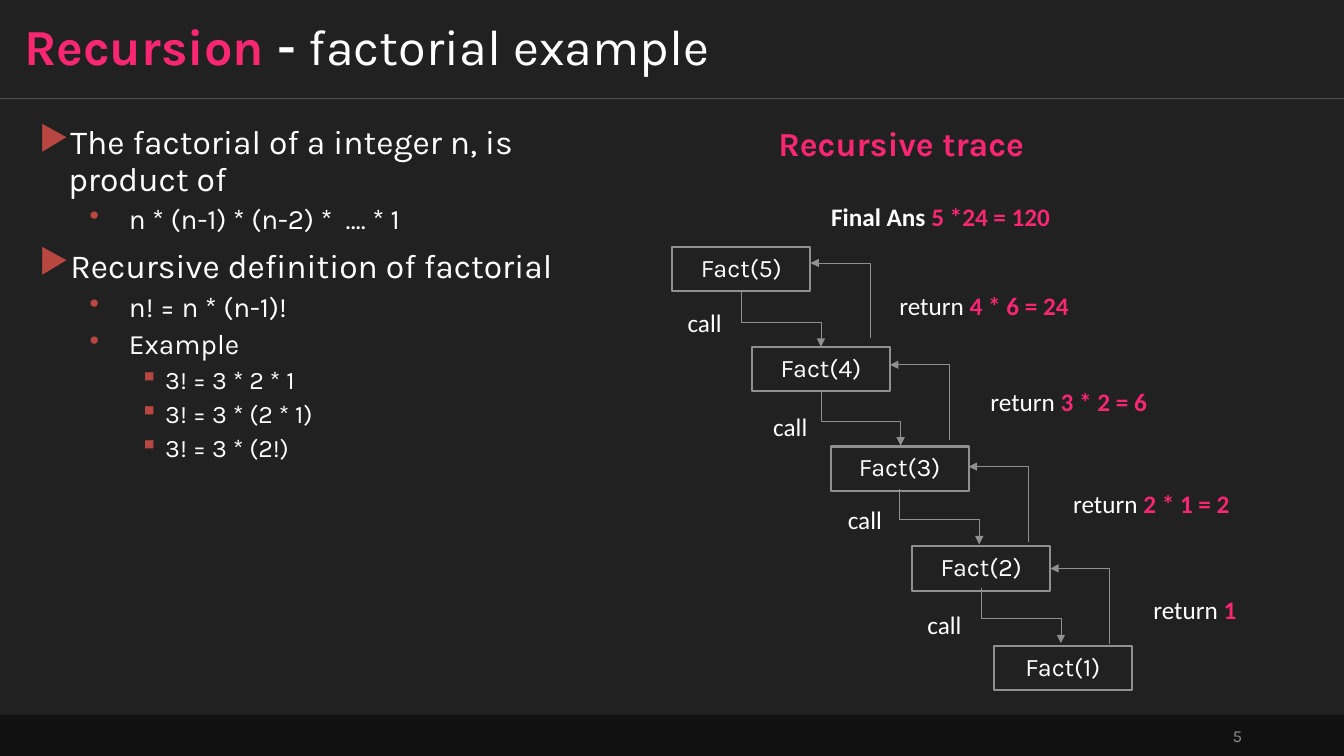
from dataclasses import dataclass

from pptx import Presentation
from pptx.dml.color import RGBColor
from pptx.enum.shapes import MSO_CONNECTOR, MSO_SHAPE
from pptx.enum.text import MSO_ANCHOR, PP_ALIGN
from pptx.oxml.ns import qn
from pptx.util import Emu, Inches, Pt
from lxml import etree

RECT = MSO_SHAPE.RECTANGLE
STRAIGHT, ELBOW = MSO_CONNECTOR.STRAIGHT, MSO_CONNECTOR.ELBOW
TOP, MIDDLE = MSO_ANCHOR.TOP, MSO_ANCHOR.MIDDLE
LEFT, CENTER, RIGHT = PP_ALIGN.LEFT, PP_ALIGN.CENTER, PP_ALIGN.RIGHT

# Grid of 160 columns by 90 rows over the whole slide
COLUMNS, ROWS = 160, 90
WIDTH, HEIGHT = Inches(13.33), Inches(7.5)

DARK, FOOTER, GREY, PAGE_GREY = "212121", "111111", "909090", "8D8D8D"
WHITE, PINK, BULLET_RED = "FFFFFF", "F92672", "B84742"
KARLA, CALIBRI = "Karla", "Calibri"


@dataclass
class Area:
    col: float
    row: float
    cols: float
    rows: float


@dataclass
class Words:
    text: str
    size: float = 18
    font: str = CALIBRI
    color: str = WHITE
    bold: bool = False


@dataclass
class Level:
    symbol: str
    size: float
    margin: float
    hanging: float
    before: float


@dataclass
class Step:
    """A recursive call, its place and the value it passes back."""
    call: str
    col: float
    call_at: tuple[float, float] = ()
    return_area: Area | None = None
    value: str = ""


LEVELS = [
    Level("▶", 24, 0.29, 0.29, 10),
    Level("•", 20, 0.89, 0.39, 5),
    Level("▪", 18, 1.25, 0.25, 5),
]
OUTLINE = [
    (0, "The factorial of a integer n, is product of"),
    (1, "n * (n-1) * (n-2) *  …. * 1"),
    (0, "Recursive definition of factorial"),
    (1, "n! = n * (n-1)!"),
    (1, "Example"),
    (2, "3! = 3 * 2 * 1"),
    (2, "3! = 3 * (2 * 1)"),
    (2, "3! = 3 * (2!)"),
]
STEPS = [
    Step("Fact(5)", 80.04, (80.04, 36), Area(105.12, 33.96, 24.72, 4.8), "4 * 6 = 24 "),
    Step("Fact(4)", 89.52, (90.24, 48.36), Area(115.2, 45.36, 24.72, 4.8), "3 * 2 = 6 "),
    Step("Fact(3)", 98.88, (99.12, 59.4), Area(125.04, 57.6, 24.72, 4.8), "2 * 1 = 2 "),
    Step("Fact(2)", 108.6, (108.6, 72), Area(134.76, 70.2, 15, 4.8), "1"),
    Step("Fact(1)", 118.32),
]
BOX_COLS, BOX_ROWS = 16.44, 5.28


def x(cols: float) -> Emu:
    return Emu(round(WIDTH * cols / COLUMNS))


def y(rows: float) -> Emu:
    return Emu(round(HEIGHT * rows / ROWS))


def place(area: Area) -> tuple[Emu, Emu, Emu, Emu]:
    return x(area.col), y(area.row), x(area.cols), y(area.rows)


def paint(color_format, color: str) -> None:
    color_format.rgb = RGBColor.from_string(color)


def add_words(paragraph, words: Words) -> None:
    run = paragraph.add_run()
    run.text = words.text
    run.font.size, run.font.name, run.font.bold = Pt(words.size), words.font, words.bold
    paint(run.font.color, words.color)


def write(frame, words: list[Words], align=CENTER, anchor=TOP, spacing: float = 1,
          inset: tuple[float, float] = (0.1, 0.05)) -> None:
    frame.word_wrap, frame.vertical_anchor = True, anchor
    frame.margin_left = frame.margin_right = Inches(inset[0])
    frame.margin_top = frame.margin_bottom = Inches(inset[1])
    paragraph = frame.paragraphs[0]
    paragraph.alignment, paragraph.line_spacing = align, spacing
    for part in words:
        add_words(paragraph, part)


def add_text(slide, area: Area, words: list[Words], **layout) -> None:
    write(slide.shapes.add_textbox(*place(area)).text_frame, words, **layout)


def add_box(slide, area: Area, fill: str, line: str = ""):
    box = slide.shapes.add_shape(RECT, *place(area))
    box.shadow.inherit = False
    box.fill.solid()
    paint(box.fill.fore_color, fill)
    if line:
        paint(box.line.color, line)
        box.line.width = Pt(1.5)
    else:
        box.line.fill.background()
    return box


def add_line(slide, kind, start: tuple[float, float], end: tuple[float, float], color: str):
    line = slide.shapes.add_connector(kind, x(start[0]), y(start[1]), x(end[0]), y(end[1]))
    paint(line.line.color, color)
    line.line.width = Pt(0.5)
    etree.SubElement(line._element.spPr, qn("a:effectLst"))
    return line


def add_arrow(slide, start: tuple[float, float], end: tuple[float, float],
              flip: str, bend: int) -> None:
    """Elbow arrow that leaves vertically; bend is in thousandths of a percent."""
    arrow = add_line(slide, ELBOW, start, end, GREY)
    wide, tall = arrow.width, arrow.height
    arrow.left += (wide - tall) // 2
    arrow.top += (tall - wide) // 2
    arrow.width, arrow.height = tall, wide
    properties = arrow._element.spPr
    frame = properties.find(qn("a:xfrm"))
    frame.attrib.pop("flipH", None)
    frame.attrib.pop("flipV", None)
    frame.set("rot", "16200000")
    frame.set(flip, "1")
    adjustments = properties.find(qn("a:prstGeom")).find(qn("a:avLst"))
    etree.SubElement(adjustments, qn("a:gd"), name="adj1", fmla=f"val {bend}")
    etree.SubElement(properties.find(qn("a:ln")), qn("a:tailEnd"), type="triangle")


def add_outline(slide, area: Area) -> None:
    frame = slide.shapes.add_textbox(*place(area)).text_frame
    frame.word_wrap = True
    for index, (depth, text) in enumerate(OUTLINE):
        level = LEVELS[depth]
        paragraph = frame.add_paragraph() if index else frame.paragraphs[0]
        paragraph.level, paragraph.line_spacing = depth, 0.9
        paragraph.space_before = Pt(level.before)
        properties = paragraph._p.get_or_add_pPr()
        properties.set("marL", str(Inches(level.margin)))
        properties.set("indent", str(-Inches(level.hanging)))
        bullet_color = etree.SubElement(properties, qn("a:buClr"))
        etree.SubElement(bullet_color, qn("a:srgbClr"), val=BULLET_RED)
        etree.SubElement(properties, qn("a:buChar"), char=level.symbol)
        add_words(paragraph, Words(text, level.size, KARLA))


def add_trace(slide) -> None:
    for index, step in enumerate(STEPS):
        box = add_box(slide, Area(step.col, 29.4 + 11.88 * index, BOX_COLS, BOX_ROWS), DARK, GREY)
        write(box.text_frame, [Words(step.call, font=KARLA)],
              anchor=MIDDLE, spacing=0.9, inset=(0.02, 0.02))
    for index, step in enumerate(STEPS[:-1]):
        # Call down to the next step
        middle, below = step.col + BOX_COLS / 2, 34.68 + 11.76 * index
        add_arrow(slide, (middle, below), (middle + 9.48, below + 6.6), "flipH", 55600)
        add_text(slide, Area(*step.call_at, 7.68, 4.8), [Words("call")])
        # Value returned to this step
        edge, tip = step.col + BOX_COLS, 31.32 + 12.12 * index
        add_arrow(slide, (edge + 7.08, tip + 8.94), (edge, tip), "flipV", 100100)
        add_text(slide, step.return_area,
                 [Words("return "), Words(step.value, color=PINK, bold=True)])


def main() -> None:
    deck = Presentation()
    deck.slide_width, deck.slide_height = WIDTH, HEIGHT
    slide = deck.slides.add_slide(deck.slide_layouts[6])

    # Backdrop, title rule and footer
    slide.background.fill.solid()
    paint(slide.background.fill.fore_color, DARK)
    rule = add_line(slide, STRAIGHT, (0, 11.76), (COLUMNS, 11.76), WHITE)
    rule_color = next(rule._element.spPr.iter(qn("a:srgbClr")))
    etree.SubElement(rule_color, qn("a:alpha"), val="30000")
    add_box(slide, Area(0, 85.08, COLUMNS, 4.92), FOOTER)
    add_text(slide, Area(113.04, 85.2, 36, 4.8), [Words("5", 12, KARLA, PAGE_GREY)],
             align=RIGHT, anchor=MIDDLE)

    # Title and outline
    add_text(slide, Area(0, 0, COLUMNS, 11.76),
             [Words("Recursion ", 36, KARLA, PINK, True), Words("- ", 36, KARLA, bold=True),
              Words("factorial example", 36, KARLA)],
             align=LEFT, anchor=MIDDLE, spacing=0.9, inset=(0.24, 0.12))
    add_outline(slide, Area(3.48, 14.4, 71.88, 37.32))

    # Recursive trace
    add_trace(slide)
    add_text(slide, Area(94.68, 23.4, 35.28, 4.8),
             [Words("Final Ans ", bold=True), Words("5 *24 = 120 ", color=PINK, bold=True)])
    add_text(slide, Area(86.64, 14.04, 41.28, 6),
             [Words("Recursive trace", 24, KARLA, PINK, True)])
    deck.save("out.pptx")


if __name__ == "__main__":
    main()
